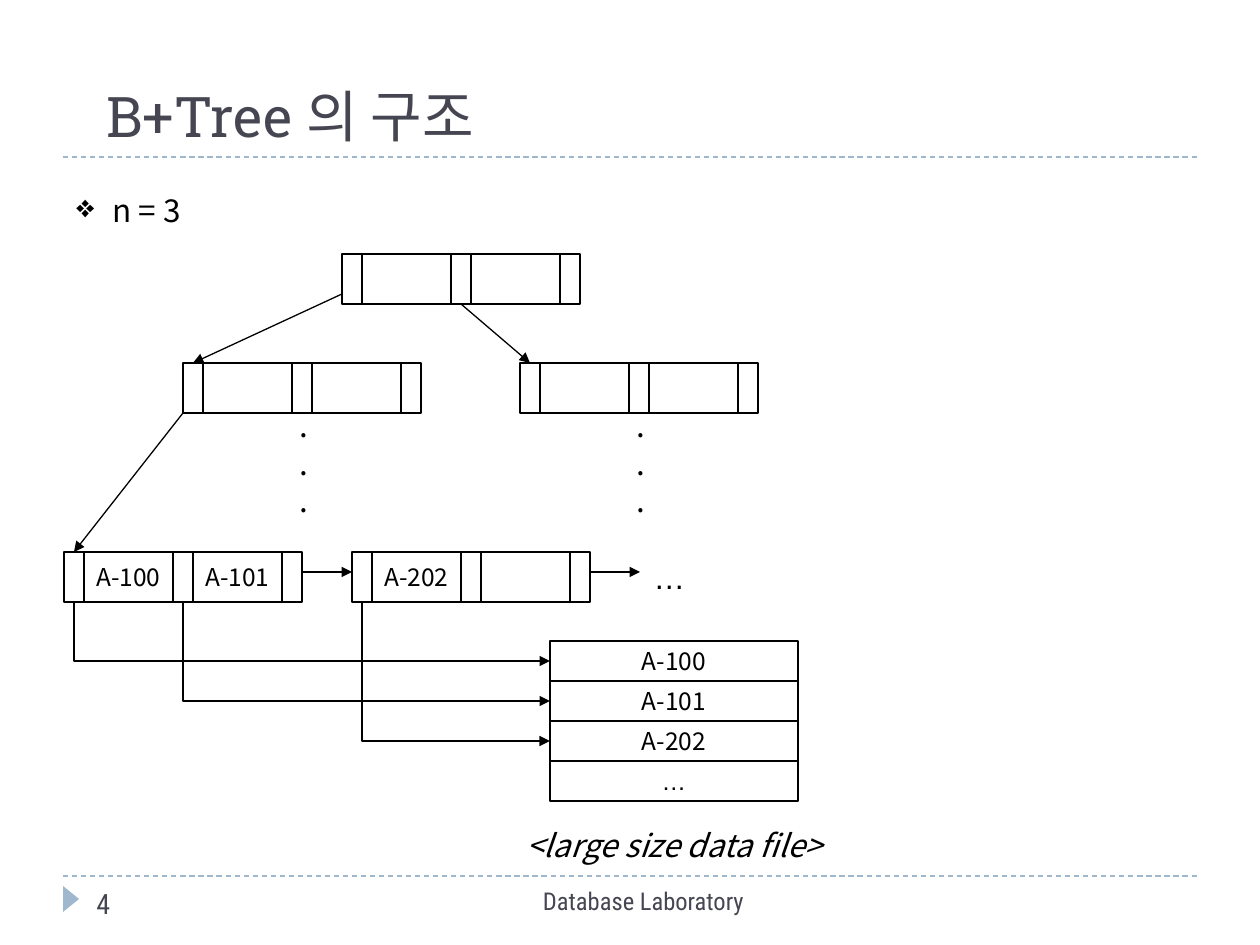
import lxml.etree
import pptx
import pptx.dml.color
import pptx.enum.dml
import pptx.enum.shapes
import pptx.enum.text
import pptx.oxml.ns
import pptx.util

SHAPES = pptx.enum.shapes.MSO_SHAPE
CONNECTORS = pptx.enum.shapes.MSO_CONNECTOR
ANCHORS = pptx.enum.text.MSO_ANCHOR
ALIGNMENTS = pptx.enum.text.PP_ALIGN
BODY, SYMBOL, FOOTER, TITLE = "Noto Sans CJK KR", "Arial", "Roboto Condensed", "Roboto Slab"
BLACK, SLATE, BLUE = "000000", "464653", "9FB8CD"
POINTER, KEY, NODE_HEIGHT = 20, 89, 50


def px(length):
    return pptx.util.Emu(round(length * 914400 / 126))


def color(value):
    return pptx.dml.color.RGBColor.from_string(value)


def add_element(parent, tag, **attributes):
    return lxml.etree.SubElement(parent, pptx.oxml.ns.qn(tag), attributes)


class TreeSlide:
    """Draws the parts of a tree diagram on one slide in a shared style."""

    def __init__(self, presentation):
        self.slide = presentation.slides.add_slide(presentation.slide_layouts[6])
        self.line_width = pptx.util.Pt(0.75)

    def fill_text(self, shape, lines, size, font, ink=BLACK, align=ALIGNMENTS.CENTER,
                  anchor=ANCHORS.MIDDLE, wrap=False, italic=False, bullet=None):
        frame = shape.text_frame
        frame.word_wrap = wrap
        frame.vertical_anchor = anchor
        frame.text = lines
        for paragraph in frame.paragraphs:
            paragraph.alignment = align
            if bullet:
                properties = paragraph._p.get_or_add_pPr()
                properties.set("marL", str(px(36)))
                properties.set("indent", str(-px(36)))
                add_element(properties, "a:buChar", char=bullet)
            paragraph.font.size = pptx.util.Pt(size)
            paragraph.font.name = font
            paragraph.font.italic = italic
            paragraph.font.color.rgb = color(ink)

    def text(self, x, y, width, height, lines, size, font, **style):
        box = self.slide.shapes.add_textbox(px(x), px(y), px(width), px(height))
        self.fill_text(box, lines, size, font, **style)

    def cell(self, x, y, width, height, label="", font=BODY):
        shape = self.slide.shapes.add_shape(SHAPES.RECTANGLE, px(x), px(y), px(width), px(height))
        shape.shadow.inherit = False
        shape.fill.background()
        shape.line.color.rgb = color(BLACK)
        shape.line.width = self.line_width
        if label:
            self.fill_text(shape, label, 14, font)

    def node(self, x, y, keys=("", "")):
        for key in keys:
            self.cell(x, y, POINTER, NODE_HEIGHT)
            self.cell(x + POINTER, y, KEY, NODE_HEIGHT, key)
            x += POINTER + KEY
        self.cell(x, y, POINTER, NODE_HEIGHT)

    def connector(self, x1, y1, x2, y2, ink=BLACK, kind=CONNECTORS.STRAIGHT):
        line = self.slide.shapes.add_connector(kind, px(x1), px(y1), px(x2), px(y2))
        line.line.color.rgb = color(ink)
        line.line.width = self.line_width
        add_element(line._element.spPr, "a:effectLst")
        return line

    def rule(self, y):
        line = self.connector(63, y, 1197, y, BLUE)
        line.line.dash_style = pptx.enum.dml.MSO_LINE.DASH

    def arrow(self, x1, y1, x2, y2, kind=CONNECTORS.STRAIGHT):
        line = self.connector(x1, y1, x2, y2, kind=kind)
        outline = line._element.spPr.find(pptx.oxml.ns.qn("a:ln"))
        add_element(outline, "a:tailEnd", type="triangle")
        return line

    def down_then_right(self, x1, y1, x2, y2):
        line = self.arrow(x1, y1, x2, y2, CONNECTORS.ELBOW)
        across, down = x2 - x1, y2 - y1
        line.left = px((x1 + x2 - down) / 2)
        line.top = px((y1 + y2 - across) / 2)
        line.width, line.height = px(down), px(across)
        properties = line._element.spPr
        transform = properties.find(pptx.oxml.ns.qn("a:xfrm"))
        transform.set("rot", "16200000")
        transform.set("flipH", "1")
        properties.find(pptx.oxml.ns.qn("a:prstGeom")).set("prst", "bentConnector2")

    def marker(self, x, y, width, height):
        shape = self.slide.shapes.add_shape(
            SHAPES.ISOSCELES_TRIANGLE, px(x), px(y), px(width), px(height))
        shape.rotation = 90
        shape.shadow.inherit = False
        shape.fill.solid()
        shape.fill.fore_color.rgb = color(BLUE)
        shape.line.fill.background()


def main():
    presentation = pptx.Presentation()
    presentation.slide_width = px(1260)
    presentation.slide_height = px(945)
    page = TreeSlide(presentation)
    left, top = ALIGNMENTS.LEFT, ANCHORS.TOP

    page.rule(876)
    page.rule(157)
    page.marker(58, 891, 26, 16)
    page.text(402, 880, 483, 50, "Database Laboratory", 14, FOOTER,
              ink=SLATE, anchor=top, wrap=True)
    page.text(84, 880, 273, 50, "4", 16, FOOTER, ink=SLATE, align=left, anchor=top, wrap=True)
    page.text(94, 29, 1099, 126, "B+Tree 의 구조", 32, TITLE,
              ink=SLATE, align=left, anchor=ANCHORS.BOTTOM, wrap=True)
    page.text(64, 185, 228, 63, "n = 3", 18, BODY,
              align=left, anchor=top, wrap=True, bullet="❖")

    page.node(342, 254)
    for x in (183, 520):
        page.node(x, 363)
        page.text(x + POINTER + KEY, 393, POINTER, 139, ".\n.\n.", 18, BODY)
    page.node(64, 552, ("A-100", "A-101"))
    page.node(352, 552, ("A-202", ""))
    page.text(600, 562, 139, 30, "…", 18, SYMBOL)

    for ends in ((302, 572, 352, 572), (590, 572, 640, 572), (342, 294, 193, 363),
                 (461, 304, 530, 363), (183, 413, 74, 552)):
        page.arrow(*ends)

    records = (("A-100", 74), ("A-101", 183), ("A-202", 362))
    for row, (label, pointer_x) in enumerate(records):
        y = 641 + 40 * row
        page.cell(550, y, 248, 40, label)
        page.down_then_right(pointer_x, 602, 550, y + 20)
    page.cell(550, 761, 248, 40, "…", SYMBOL)
    page.text(461, 820, 427, 50, "<large size data file>", 18, BODY,
              anchor=top, wrap=True, italic=True)

    presentation.save("out.pptx")


if __name__ == "__main__":
    main()
